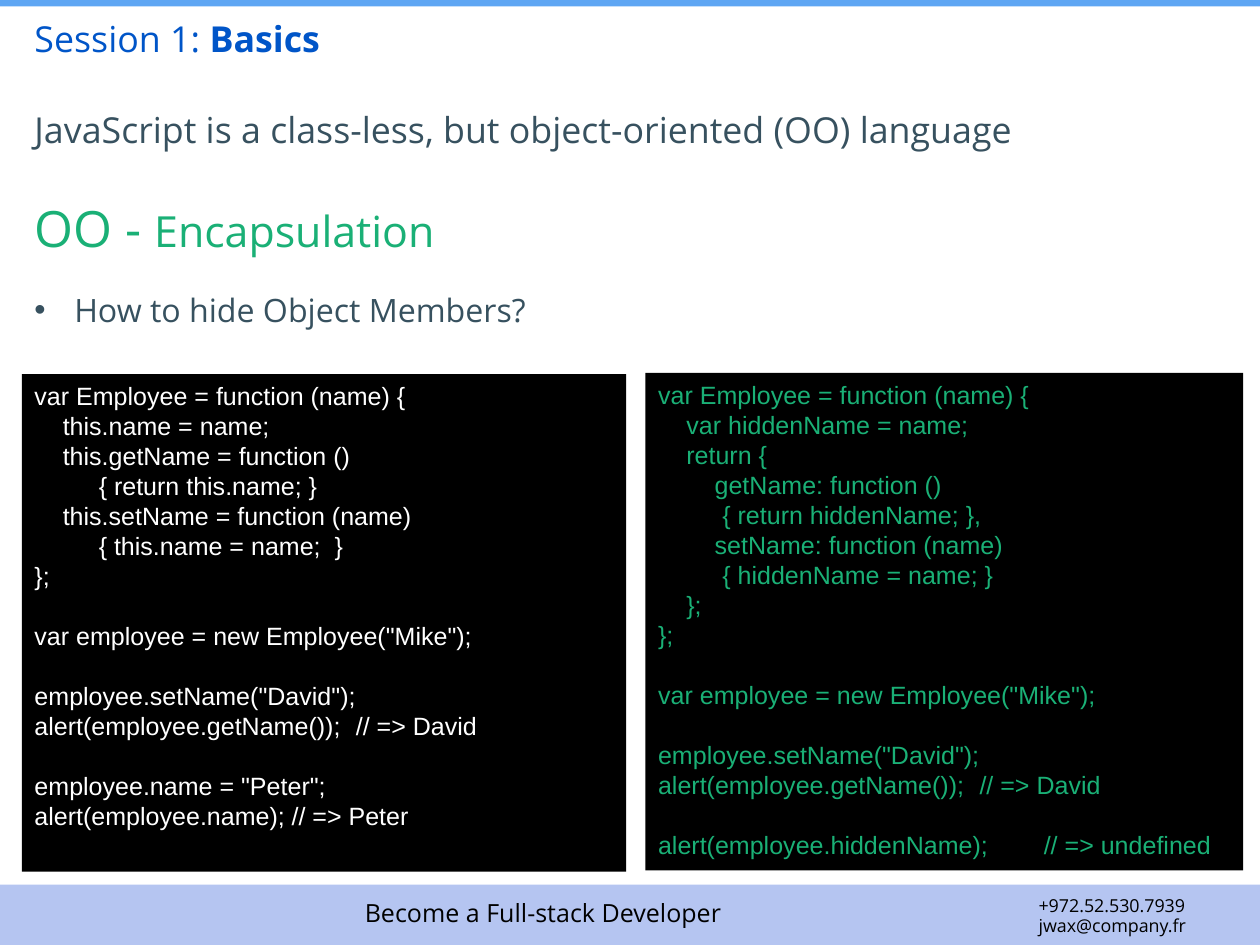
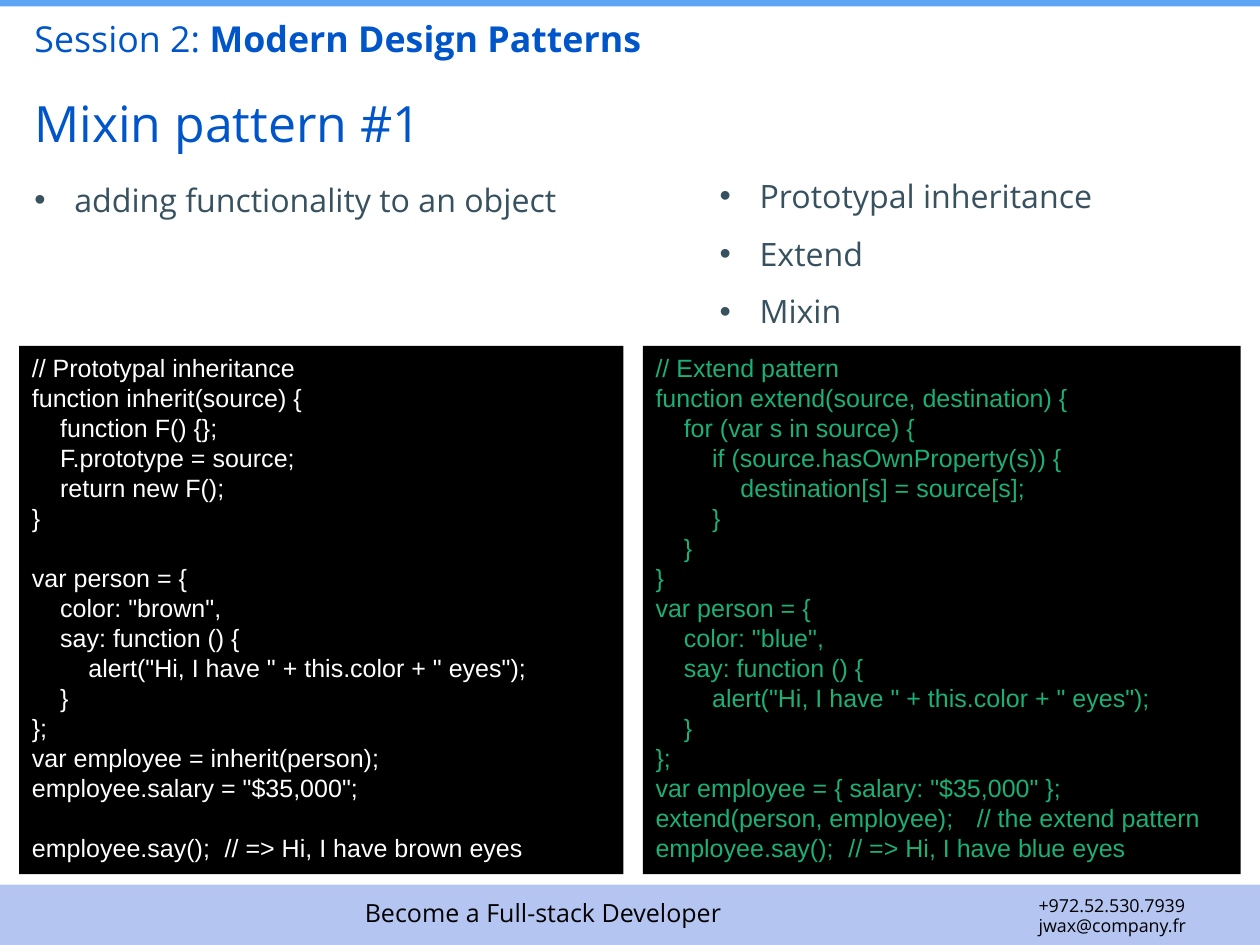
import pptx
import pptx.util
import pptx.dml.color
import pptx.enum.shapes
import pptx.enum.text
import pptx.oxml.ns
import lxml.etree

WIDTH, HEIGHT = 9.8, 7.35
MARGIN = 0.17
GUTTER = 0.15
CODE_WIDTHS = (4.7, 4.65)
CODE_LINE = 16.8
CODE_INDENT = 0.22
RULE = 0.05
FOOTER_TOP, FOOTER_HEIGHT = 6.88, HEIGHT - 6.88
FOOTER_TEXT_TOP = FOOTER_TOP + RULE

BLUE, SLATE, GREEN = "0055C8", "37515F", "1AB076"
BLACK, WHITE = "000000", "FFFFFF"
TOP_RULE, FOOTER_BAND = "5EA6F3", "B5C5F1"

TAGLINE = "Become a Full-stack Developer"
CONTACT = ["+972.52.530.7939", "jwax@company.fr"]

HEADING = dict(size=28, color=BLUE, spacing=1.5)
STATEMENT = dict(size=20, color=SLATE, spacing=1.5)
BULLETS = dict(size=18, color=SLATE, spacing=1.5, hanging=0.31)

SLIDES = [
    {
        "session": ("Session 1: ", "Basics"),
        "texts": [
            ((MARGIN, 0.62, 9.23, 0.55),
             ["JavaScript is a class-less, but object-oriented (OO) language"], STATEMENT),
            ((MARGIN, 1.25, 3.94, 0.81),
             [[("OO - ", {}), ("Encapsulation", {"size": 24})]], {**HEADING, "color": GREEN}),
            ((MARGIN, 2.06, 4.16, 0.51), ["How to hide Object Members?"], BULLETS),
        ],
        "code_left": MARGIN,
        "code_tops": (2.91, 2.9),
        "code_height": 3.87,
        "code": [
            [
                "var Employee = function (name) {",
                "    this.name = name;",
                "    this.getName = function ()",
                ("\t{ return this.name; }", 1),
                "    this.setName = function (name)",
                ("\t{ this.name = name;  }", 1),
                "};",
                "",
                'var employee = new Employee("Mike");',
                "",
                'employee.setName("David");',
                ("alert(employee.getName());\t// => David", 2.54),
                "",
                'employee.name = "Peter";',
                ("alert(employee.name);\t// => Peter", 2.38),
            ],
            [
                "var Employee = function (name) {",
                "    var hiddenName = name;",
                "    return {",
                "        getName: function ()",
                ("\t{ return hiddenName; },", 1),
                "        setName: function (name)",
                ("\t{ hiddenName = name; }", 1),
                "    };",
                "};",
                "",
                'var employee = new Employee("Mike");',
                "",
                'employee.setName("David");',
                ("alert(employee.getName());\t// => David", 2.71),
                "",
                ("alert(employee.hiddenName);\t// => undefined", 2.84),
            ],
        ],
    },
    {
        "session": ("Session 2: ", "Modern Design Patterns"),
        "texts": [
            ((MARGIN, 0.44, 9.35, 0.72), ["Mixin pattern #1"], HEADING),
            ((MARGIN, 1.2, 4.67, 1.01), ["adding functionality to an object"], BULLETS),
            ((5, 1.17, 4.67, 1.42), ["Prototypal inheritance", "Extend", "Mixin"],
             {**BULLETS, "indent": 0.5}),
        ],
        "code_left": 0.15,
        "code_tops": (2.69, 2.69),
        "code_height": 4.11,
        "code": [
            [
                "// Prototypal inheritance",
                "function inherit(source) {",
                "    function F() {};",
                "    F.prototype = source;",
                "    return new F();",
                "}",
                "",
                "var person = {",
                '    color: "brown",',
                "    say: function () {",
                '        alert("Hi, I have " + this.color + " eyes");',
                "    }",
                "};",
                "var employee = inherit(person);",
                'employee.salary = "$35,000";',
                "",
                ("employee.say();\t// => Hi, I have brown eyes", 2.04),
            ],
            [
                "// Extend pattern",
                "function extend(source, destination) {",
                "    for (var s in source) {",
                "        if (source.hasOwnProperty(s)) {",
                "            destination[s] = source[s];",
                "        }",
                "    }",
                "}",
                "var person = {",
                '    color: "blue",',
                "    say: function () {",
                '        alert("Hi, I have " + this.color + " eyes");',
                "    }",
                "};",
                'var employee = { salary: "$35,000" };',
                ("extend(person, employee);\t// the extend pattern", 2.48),
                ("employee.say();\t// => Hi, I have blue eyes", 2.09),
            ],
        ],
    },
]


def rgb(value):
    return pptx.dml.color.RGBColor.from_string(value)


def inches(rect):
    return [pptx.util.Inches(length) for length in rect]


def add_child(parent, tag, **attributes):
    child = lxml.etree.SubElement(parent, pptx.oxml.ns.qn(tag))
    for name, value in attributes.items():
        child.set(name, str(value))
    return child


def add_bar(page, rect, color):
    bar = page.shapes.add_shape(pptx.enum.shapes.MSO_SHAPE.RECTANGLE, *inches(rect))
    bar.shadow.inherit = False
    bar.fill.solid()
    bar.fill.fore_color.rgb = rgb(color)
    bar.line.fill.background()
    return bar


def add_para(frame, runs, first=False, size=14, color=BLACK, font="Open Sans",
             spacing=None, before=0, indent=0, hanging=0, stop=None, align="LEFT"):
    para = frame.paragraphs[0] if first else frame.add_paragraph()
    para.alignment = getattr(pptx.enum.text.PP_ALIGN, align)
    para.space_before = pptx.util.Pt(before)
    if spacing:
        para.line_spacing = spacing
    properties = para._p.get_or_add_pPr()
    properties.set("marL", str(pptx.util.Inches(indent + hanging)))
    properties.set("indent", str(pptx.util.Inches(-hanging)))
    if hanging:
        add_child(properties, "a:buFont", typeface="Arial")
        add_child(properties, "a:buChar", char="•")
    if stop:
        stops = add_child(properties, "a:tabLst")
        add_child(stops, "a:tab", pos=pptx.util.Inches(stop), algn="l")
    for text, changes in [(runs, {})] if isinstance(runs, str) else runs:
        span = para.add_run()
        span.text = text
        span.font.name = font
        span.font.size = pptx.util.Pt(changes.get("size", size))
        span.font.bold = changes.get("bold", False)
        span.font.color.rgb = rgb(color)


def add_text(page, rect, lines, anchor="TOP", **style):
    box = page.shapes.add_textbox(*inches(rect))
    frame = box.text_frame
    frame.word_wrap = True
    frame.vertical_anchor = getattr(pptx.enum.text.MSO_ANCHOR, anchor)
    for index, line in enumerate(lines):
        add_para(frame, line, first=index == 0, **style)


def add_code(page, rect, lines, color):
    frame = add_bar(page, rect, BLACK).text_frame
    frame.word_wrap = True
    frame.vertical_anchor = pptx.enum.text.MSO_ANCHOR.TOP
    before = 0
    for index, line in enumerate(lines):
        if not line:
            before = CODE_LINE
            continue
        text, stop = (line, None) if isinstance(line, str) else line
        code = text.lstrip(" ")
        level = (len(text) - len(code)) // 4
        add_para(frame, code, first=index == 0, color=color, font="Arial",
                 spacing=pptx.util.Pt(CODE_LINE), before=before,
                 indent=level * CODE_INDENT, stop=stop)
        before = 0


def add_frame(page, session):
    name, topic = session
    add_text(page, (MARGIN, 0.08, 7.47, 0.48), [[(name, {}), (topic, {"bold": True})]],
             size=20, color=BLUE)
    add_bar(page, (0, FOOTER_TOP, WIDTH, FOOTER_HEIGHT), FOOTER_BAND)
    add_text(page, (7.98, FOOTER_TEXT_TOP, 1.8, 0.41), CONTACT, size=10, spacing=0.9)
    add_text(page, (1.6, FOOTER_TEXT_TOP, 5.25, 0.34), [TAGLINE], anchor="MIDDLE", align="CENTER")
    add_bar(page, (0, 0, WIDTH, RULE), TOP_RULE)


def main():
    deck = pptx.Presentation()
    deck.slide_width, deck.slide_height = inches((WIDTH, HEIGHT))
    for content in SLIDES:
        page = deck.slides.add_slide(deck.slide_layouts[6])
        for rect, lines, style in content["texts"]:
            add_text(page, rect, lines, **style)
        left = content["code_left"]
        panels = zip(content["code"], content["code_tops"], CODE_WIDTHS, (WHITE, GREEN))
        for lines, top, width, color in panels:
            add_code(page, (left, top, width, content["code_height"]), lines, color)
            left += width + GUTTER
        add_frame(page, content["session"])
    deck.save("out.pptx")


if __name__ == "__main__":
    main()
